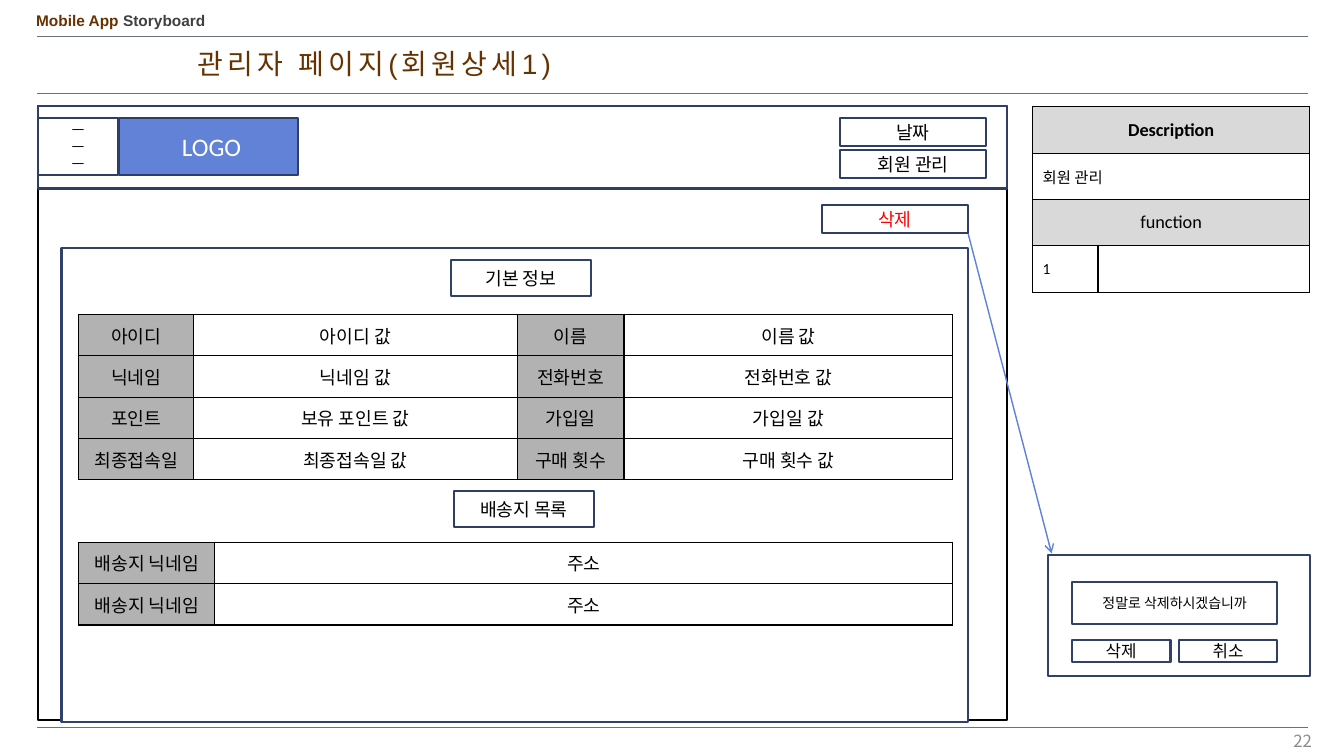
from dataclasses import dataclass

from lxml import etree
from pptx import Presentation
from pptx import util as u
from pptx.dml.color import RGBColor
from pptx.enum import shapes, text
from pptx.oxml import ns

BLACK = RGBColor(0x00, 0x00, 0x00)
WHITE = RGBColor(0xFF, 0xFF, 0xFF)
RED = RGBColor(0xFF, 0x00, 0x00)
BROWN = RGBColor(0x66, 0x33, 0x00)
CHARCOAL = RGBColor(0x40, 0x40, 0x40)
PAGE_GRAY = RGBColor(0x8C, 0x8C, 0x8C)
RULE_GRAY = RGBColor(0x68, 0x72, 0x7E)
HEADING_GRAY = RGBColor(0xD9, 0xD9, 0xD9)
LABEL_GRAY = RGBColor(0xB2, 0xB2, 0xB2)
NAVY = RGBColor(0x2E, 0x3E, 0x67)
SLATE = RGBColor(0x30, 0x41, 0x6A)
LOGO_BLUE = RGBColor(0x61, 0x82, 0xD6)
ARROW_BLUE = RGBColor(0x5E, 0x81, 0xD9)

LEFT, CENTER, RIGHT = text.PP_ALIGN.LEFT, text.PP_ALIGN.CENTER, text.PP_ALIGN.RIGHT
TOP, MIDDLE = text.MSO_ANCHOR.TOP, text.MSO_ANCHOR.MIDDLE


@dataclass(frozen=True)
class Box:
    left: float
    top: float
    width: float
    height: float
    label: str = ""
    size: float = 13
    color: RGBColor = BLACK
    fill: RGBColor = WHITE
    border: RGBColor = NAVY


@dataclass(frozen=True)
class Rule:
    start: tuple[float, float]
    end: tuple[float, float]
    color: RGBColor = RULE_GRAY
    weight: float = 0.25
    arrow: bool = False


@dataclass(frozen=True)
class Cell:
    label: str = ""
    fill: RGBColor = WHITE
    size: float = 13
    bold: bool = False
    align: text.PP_ALIGN = CENTER


@dataclass(frozen=True)
class Grid:
    left: float
    top: float
    columns: tuple[float, ...]
    row_height: float
    rows: list[list[Cell]]


def write(frame, words: str, *, size: float, color: RGBColor = BLACK,
          font: str = "Calibri", bold: bool = False, align=LEFT, anchor=MIDDLE,
          line_spacing: float = 1.0, tracking: float = 0, append: bool = False) -> None:
    frame.word_wrap = True
    frame.vertical_anchor = anchor
    for index, line in enumerate(words.split("\n")):
        paragraph = frame.add_paragraph() if index else frame.paragraphs[-1]
        if not append:
            paragraph.alignment = align
            paragraph.line_spacing = line_spacing
        run = paragraph.add_run()
        run.text = line
        run.font.name = font
        run.font.size = u.Pt(size)
        run.font.bold = bold
        run.font.color.rgb = color
        if tracking:
            run.font._element.set("spc", str(round(tracking * 100)))


def draw_box(slide, box: Box) -> None:
    area = map(u.Inches, (box.left, box.top, box.width, box.height))
    panel = slide.shapes.add_shape(shapes.MSO_SHAPE.RECTANGLE, *area)
    panel.shadow.inherit = False
    panel.fill.solid()
    panel.fill.fore_color.rgb = box.fill
    panel.line.color.rgb = box.border
    panel.line.width = u.Pt(1.5)
    if box.label:
        write(panel.text_frame, box.label, size=box.size, color=box.color, align=CENTER)


def draw_rule(slide, rule: Rule) -> None:
    ends = map(u.Inches, (*rule.start, *rule.end))
    stroke = slide.shapes.add_connector(shapes.MSO_CONNECTOR.STRAIGHT, *ends)
    stroke.line.color.rgb = rule.color
    stroke.line.width = u.Pt(rule.weight)
    if rule.arrow:
        etree.SubElement(stroke.line._get_or_add_ln(), ns.qn("a:tailEnd"), type="arrow")
    etree.SubElement(stroke._element.spPr, ns.qn("a:effectLst"))


def outline_cell(cell) -> None:
    properties = cell._tc.get_or_add_tcPr()
    for side in ("lnL", "lnR", "lnT", "lnB"):
        edge = etree.SubElement(properties, ns.qn(f"a:{side}"), w=str(u.Pt(1)))
        paint = etree.SubElement(edge, ns.qn("a:solidFill"))
        etree.SubElement(paint, ns.qn("a:srgbClr"), val=str(BLACK))


def draw_grid(slide, grid: Grid) -> None:
    area = map(u.Inches, (grid.left, grid.top, sum(grid.columns),
                          grid.row_height * len(grid.rows)))
    table = slide.shapes.add_table(len(grid.rows), len(grid.columns), *area).table
    table.first_row = table.horz_banding = False
    for column, width in zip(table.columns, grid.columns):
        column.width = u.Inches(width)
    for row_index, row in enumerate(grid.rows):
        table.rows[row_index].height = u.Inches(grid.row_height)
        if len(row) < len(grid.columns):
            table.cell(row_index, 0).merge(table.cell(row_index, len(grid.columns) - 1))
        for column_index in range(len(grid.columns)):
            content = row[min(column_index, len(row) - 1)]
            cell = table.cell(row_index, column_index)
            outline_cell(cell)
            cell.fill.solid()
            cell.fill.fore_color.rgb = content.fill
            cell.vertical_anchor = MIDDLE
            if content.label and column_index < len(row):
                write(cell.text_frame, content.label, size=content.size,
                      bold=content.bold, align=content.align)


def add_text_area(slide, left: float, top: float, width: float, height: float):
    return slide.shapes.add_textbox(*map(u.Inches, (left, top, width, height))).text_frame


def labelled_rows(*rows: tuple[str, ...]) -> list[list[Cell]]:
    return [[Cell(label, WHITE if index % 2 else LABEL_GRAY)
             for index, label in enumerate(row)] for row in rows]


DESCRIPTION = Grid(10.24, 1.06, (0.65, 2.1), 0.46, [
    [Cell("Description", HEADING_GRAY, bold=True)],
    [Cell("회원 관리", size=11, align=LEFT)],
    [Cell("function", HEADING_GRAY)],
    [Cell("1", size=11, align=LEFT), Cell()],
])
MEMBER_INFO = Grid(0.78, 3.12, (1.14, 3.21, 1.06, 3.26), 0.41, labelled_rows(
    ("아이디", "아이디 값", "이름", "이름 값"),
    ("닉네임", "닉네임 값", "전화번호", "전화번호 값"),
    ("포인트", "보유 포인트 값", "가입일", "가입일 값"),
    ("최종접속일", "최종접속일 값", "구매 횟수", "구매 횟수 값"),
))
ADDRESSES = Grid(0.78, 5.38, (1.35, 7.32), 0.41,
                 labelled_rows(*[("배송지 닉네임", "주소")] * 2))

CONTENT = [
    *[Rule((0.37, y), (12.97, y)) for y in (0.36, 0.92, 7.21)],
    Box(0.38, 1.05, 9.61, 6.09, border=BLACK),
    DESCRIPTION,
    Box(0.38, 1.05, 9.61, 0.82),
    Box(1.18, 1.17, 1.78, 0.57, " LOGO", 18, WHITE, LOGO_BLUE),
    Box(0.38, 1.17, 0.79, 0.57, "\n".join("ㅡ" * 3), 10),
    Box(8.33, 1.17, 1.45, 0.28, "날짜"),
    Box(8.33, 1.49, 1.45, 0.28, "회원 관리"),
    Rule((9.6, 2.31), (10.43, 5.49), ARROW_BLUE, 1, arrow=True),
    Box(10.39, 5.51, 2.6, 1.2, border=SLATE),
    Box(10.63, 6.35, 0.98, 0.22, "삭제", 12, border=SLATE),
    Box(11.69, 6.35, 0.98, 0.22, "취소", 12),
    Box(10.63, 5.77, 2.04, 0.42, "정말로 삭제하시겠습니까", 10, border=SLATE),
    Box(8.15, 2.03, 1.45, 0.28, "삭제", color=RED),
    Box(0.61, 2.46, 8.99, 4.7, border=SLATE),
    MEMBER_INFO,
    ADDRESSES,
    Box(4.47, 2.58, 1.39, 0.36, "기본 정보", border=SLATE),
    Box(4.5, 4.87, 1.39, 0.36, "배송지 목록"),
]
PAINTERS = {Box: draw_box, Rule: draw_rule, Grid: draw_grid}


def main() -> None:
    deck = Presentation()
    deck.slide_width, deck.slide_height = u.Inches(13.33), u.Inches(7.5)
    slide = deck.slides.add_slide(deck.slide_layouts[5])

    title = slide.shapes.title
    title.left, title.top, title.width, title.height = map(u.Inches, (1.86, 0.45, 4.8, 0.4))
    write(title.text_frame, "관리자 페이지(회원상세1)", size=20, color=BROWN,
          font="Arial", anchor=TOP, line_spacing=0.9, tracking=3)

    document = add_text_area(slide, 0.26, 0.1, 3.57, 0.25)
    write(document, "Mobile App ", size=11, color=BROWN, font="Arial", bold=True,
          anchor=TOP, line_spacing=0.8)
    write(document, "Storyboard", size=11, color=CHARCOAL, font="Arial", bold=True,
          anchor=TOP, append=True)
    write(add_text_area(slide, 10.24, 7.15, 2.87, 0.4), "22", size=12, color=PAGE_GRAY,
          font="Noto Sans CJK KR", align=RIGHT)

    for part in CONTENT:
        PAINTERS[type(part)](slide, part)
    deck.save("out.pptx")


if __name__ == "__main__":
    main()
